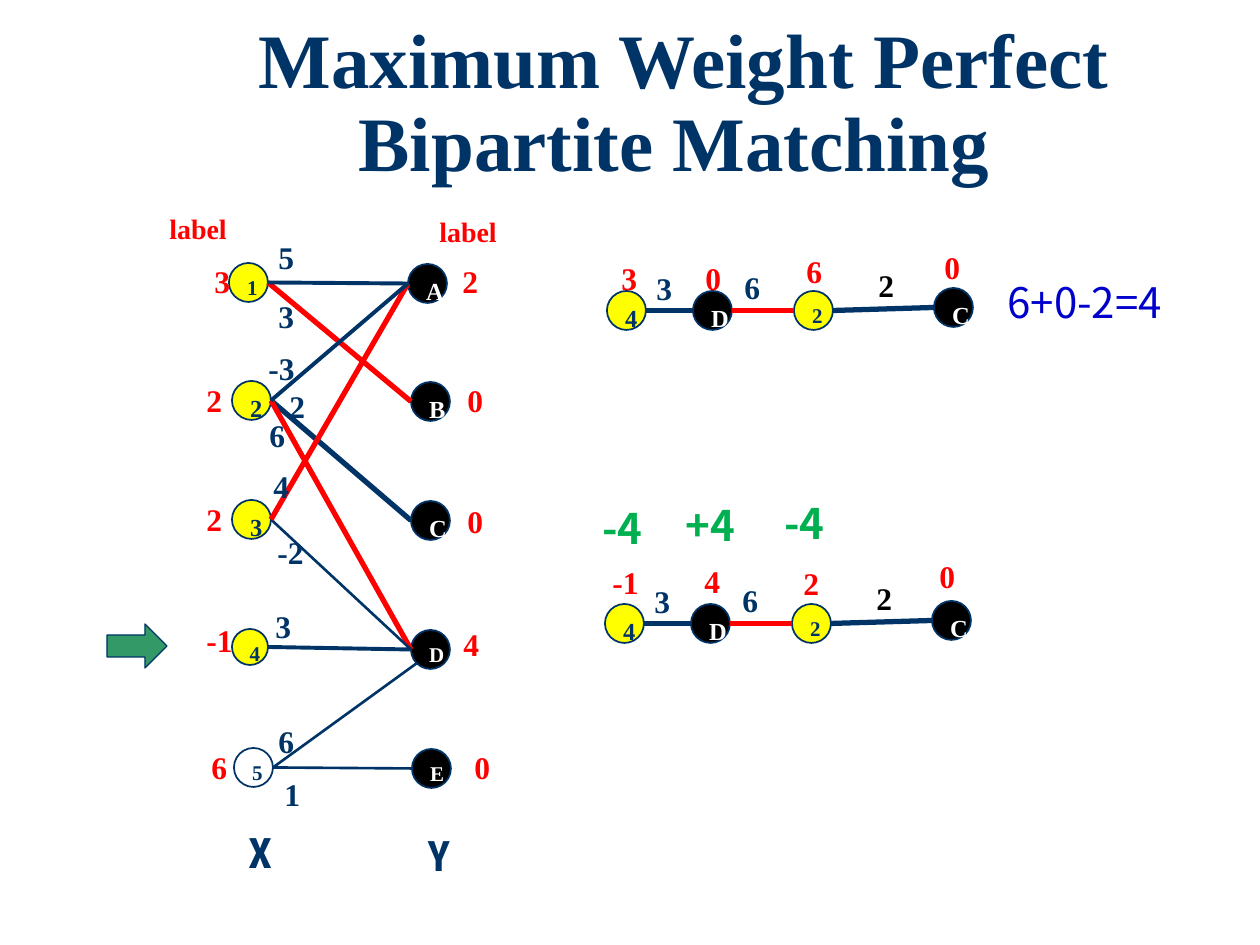
from lxml import etree
from pptx import Presentation
from pptx.dml.color import RGBColor
from pptx.enum.shapes import MSO_CONNECTOR, MSO_SHAPE
from pptx.enum.text import MSO_ANCHOR, MSO_AUTO_SIZE, PP_ALIGN
from pptx.oxml.ns import qn
from pptx.util import Pt

EMU_PER_PX = 914400 / 126
SERIF, SANS, CONDENSED = "Times New Roman", "Noto Sans CJK KR", "Roboto Condensed"
NAVY, RED, YELLOW, BLACK, WHITE = "003366", "FF0000", "FFFF00", "000000", "FFFFFF"
GREEN, ARROW_GREEN, BLUE = "00B050", "339966", "0000CC"
NODE = 39

# name, left, top, diameter, text size
X_NODES = [("1", 229, 263, NODE, 12), ("2", 232, 381, NODE, 14), ("3", 232, 500, NODE, 14),
           ("4", 232, 629, 36, 12), ("5", 234, 748, NODE, 12)]
Y_NODES = [("A", 408, 264, NODE, 14), ("B", 411, 382, NODE, 14), ("C", 411, 501, NODE, 14),
           ("D", 411, 630, NODE, 12), ("E", 412, 749, NODE, 12)]
CHAIN_NODES = [("2", 794, 291, NODE, 12), ("D", 693, 291, NODE, 14),
               ("C", 934, 288, NODE, 14), ("4", 607, 291, NODE, 14)]

# from, to, colour, width
GRAPH_EDGES = [("1", "B", RED, 3), ("2", "C", NAVY, 3), ("2", "D", RED, 3),
               ("3", "D", NAVY, 1.5), ("3", "A", RED, 3), ("4", "D", NAVY, 2.25),
               ("5", "E", NAVY, 1.5), ("1", "A", NAVY, 2.25), ("2", "A", NAVY, 2.25)]
CHAIN_EDGES = [("2", "C", NAVY, 3), ("4", "D", NAVY, 3), ("D", "2", RED, 3)]

# text, left, top
GRAPH_WEIGHTS = [("5", 266, 232), ("3", 266, 291), ("-3", 256, 343), ("2", 277, 381),
                 ("6", 257, 410), ("4", 261, 461), ("-2", 265, 527), ("3", 263, 601),
                 ("6", 266, 716), ("1", 272, 769)]
GRAPH_LABELS = [("3", 202, 256), ("2", 194, 375), ("2", 194, 494), ("-1", 194, 615),
                ("6", 199, 742), ("2", 450, 256), ("0", 455, 375), ("0", 455, 496),
                ("4", 451, 619), ("0", 462, 742)]
CHAIN_WEIGHTS = [("3", 644, 263), ("6", 732, 262)]
LABELS_BEFORE = [("3", 609, 253), ("0", 693, 253), ("6", 794, 246), ("0", 932, 242)]
LABELS_AFTER = [("-1", 600, 557), ("4", 692, 556), ("2", 791, 558), ("0", 927, 551)]


def px(length):
    return round(length * EMU_PER_PX)


def color(hex_text):
    return RGBColor.from_string(hex_text)


def write(shape, text, size=18, font=SERIF, fill=NAVY, bold=True, align=PP_ALIGN.LEFT,
          wrap=False, grow=False, spacing=None):
    frame = shape.text_frame
    frame.word_wrap = wrap
    frame.auto_size = MSO_AUTO_SIZE.SHAPE_TO_FIT_TEXT if grow else MSO_AUTO_SIZE.NONE
    frame.vertical_anchor = MSO_ANCHOR.TOP
    paragraph = frame.paragraphs[0]
    paragraph.alignment = align
    paragraph.line_spacing = spacing
    run = paragraph.add_run()
    run.text = text
    run.font.size = Pt(size)
    run.font.name = font
    run.font.bold = bold
    run.font.color.rgb = color(fill)


def add_label(slide, text, left, top, width=None, height=50, **text_format):
    width = width or (42 if len(text) == 1 else 52)
    box = slide.shapes.add_textbox(px(left), px(top), px(width), px(height))
    write(box, text, grow=True, **text_format)


def add_labels(slide, labels, fill, dx=0, dy=0):
    for text, left, top in labels:
        add_label(slide, text, left + dx, top + dy, fill=fill)


def add_filled(slide, kind, left, top, width, height, fill, line_width):
    shape = slide.shapes.add_shape(kind, px(left), px(top), px(width), px(height))
    shape.shadow.inherit = False
    shape.fill.solid()
    shape.fill.fore_color.rgb = color(fill)
    shape.line.color.rgb = color(NAVY)
    shape.line.width = Pt(line_width)
    return shape


def add_nodes(slide, nodes, dx=0, dy=0):
    """Draw the nodes and return their shapes by name."""
    shapes = {}
    for name, left, top, diameter, size in nodes:
        fill = BLACK if name.isalpha() else WHITE if name == "5" else YELLOW
        shape = add_filled(slide, MSO_SHAPE.OVAL, left + dx, top + dy,
                           diameter, diameter, fill, 1)
        write(shape, name, size=size, fill=WHITE if fill == BLACK else NAVY)
        shapes[name] = shape
    return shapes


def add_edge(slide, start, end, line_color, width, end_site=(0, 0.5)):
    """Join the right of start to a site of end, given as fractions of its size."""
    line = slide.shapes.add_connector(
        MSO_CONNECTOR.STRAIGHT,
        start.left + start.width, start.top + start.height // 2,
        round(end.left + end.width * end_site[0]),
        round(end.top + end.height * end_site[1]))
    line.line.color.rgb = color(line_color)
    line.line.width = Pt(width)
    etree.SubElement(line._element.spPr, qn("a:effectLst"))


def add_edges(slide, nodes, edges):
    for start, end, line_color, width in edges:
        add_edge(slide, nodes[start], nodes[end], line_color, width)


def add_graph(slide):
    nodes = add_nodes(slide, X_NODES + Y_NODES)
    add_edges(slide, nodes, GRAPH_EDGES)
    add_edge(slide, nodes["5"], nodes["D"], NAVY, 1.5, end_site=(0.15, 0.85))
    add_labels(slide, GRAPH_WEIGHTS, NAVY)
    add_labels(slide, GRAPH_LABELS, RED)
    for left, top in [(157, 205), (427, 208)]:
        add_label(slide, "label", left, top, 83, 47, size=16, fill=RED)
    for text, left, top in [("X", 236, 820), ("Y", 415, 823)]:
        add_label(slide, text, left, top, 50, 63, size=24, font=CONDENSED)


def add_chain(slide, labels, dx=0, dy=0):
    nodes = add_nodes(slide, CHAIN_NODES, dx, dy)
    add_edges(slide, nodes, CHAIN_EDGES)
    add_labels(slide, labels, RED)
    add_labels(slide, CHAIN_WEIGHTS, NAVY, dx, dy)
    add_labels(slide, [("2", 866, 260)], BLACK, dx, dy)


def add_title(slide):
    title = slide.shapes.title
    title.left, title.top, title.width, title.height = map(px, (180, 16, 1008, 116))
    write(title, "Maximum Weight Perfect Bipartite Matching ", size=44,
          align=PP_ALIGN.CENTER, wrap=True, spacing=0.9)


def main():
    presentation = Presentation()
    presentation.slide_width, presentation.slide_height = px(1260), px(945)
    slide = presentation.slides.add_slide(presentation.slide_layouts[5])
    add_title(slide)
    add_graph(slide)
    add_chain(slide, LABELS_BEFORE)
    add_label(slide, "6+0-2=4", 995, 270, 197, 63, size=24, font=SANS, fill=BLUE, bold=False)
    add_filled(slide, MSO_SHAPE.RIGHT_ARROW, 107, 624, 60, 44, ARROW_GREEN, 0.75)
    for text, left, top, width in [("-4", 772, 491, 68), ("+4", 673, 493, 81),
                                   ("-4", 590, 496, 68)]:
        add_label(slide, text, left, top, width, 63, size=24, font=SANS, fill=GREEN)
    add_chain(slide, LABELS_AFTER, dx=-2, dy=313)
    presentation.save("out.pptx")


if __name__ == "__main__":
    main()
